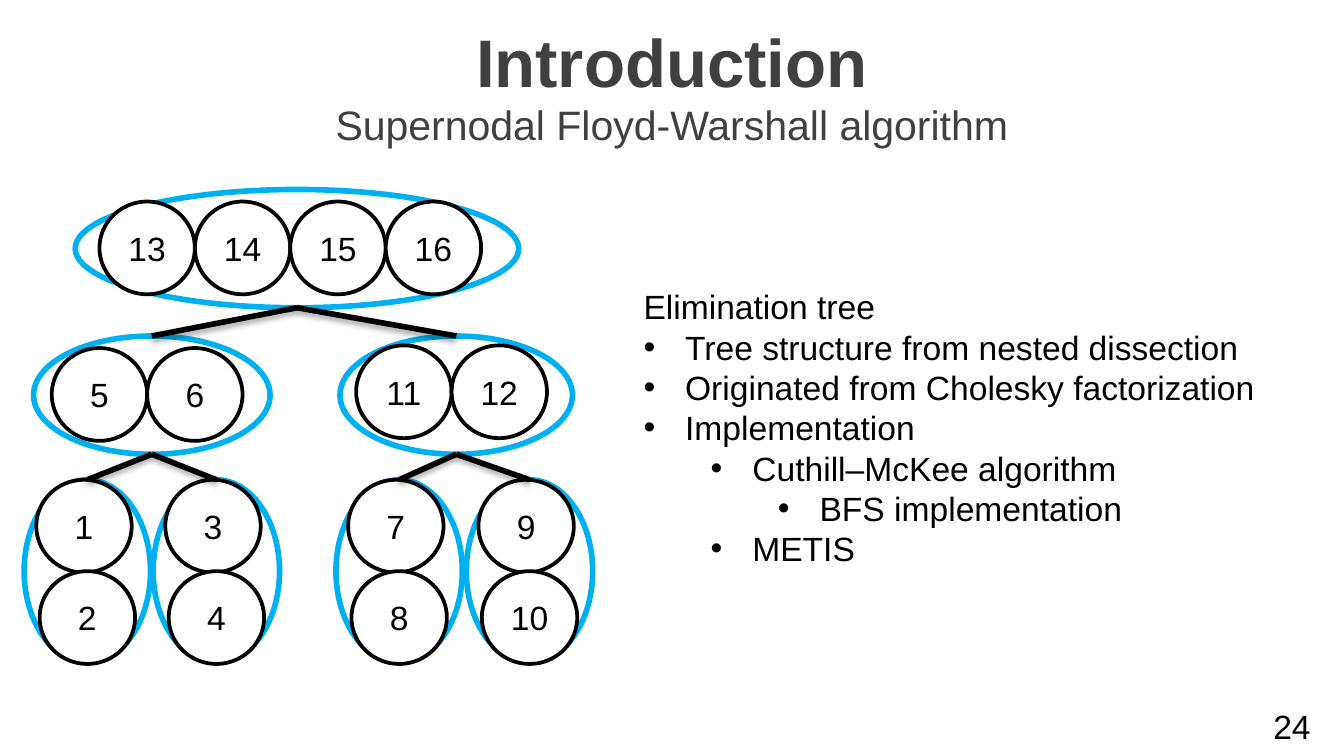
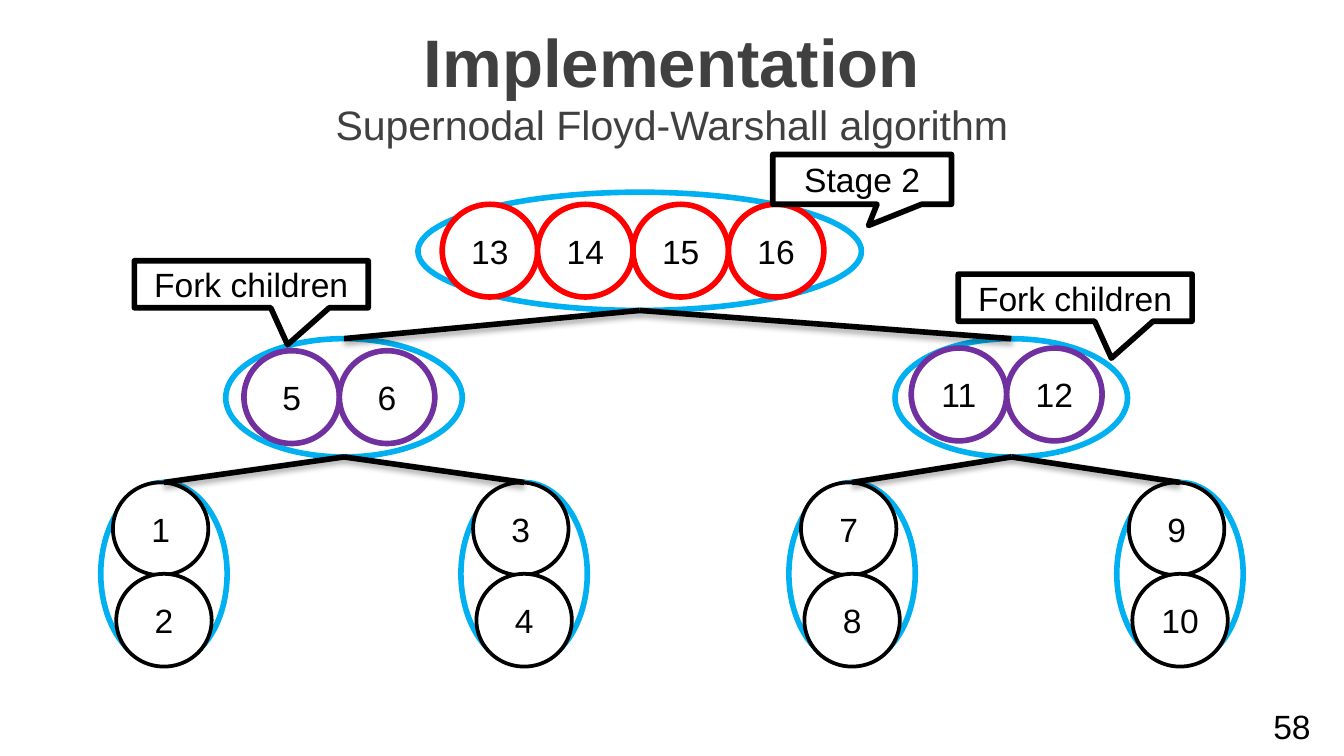
from dataclasses import dataclass

from lxml import etree
from pptx import Presentation
from pptx.dml.color import RGBColor
from pptx.enum.shapes import MSO_CONNECTOR, MSO_SHAPE
from pptx.enum.text import MSO_ANCHOR, PP_ALIGN
from pptx.oxml.ns import qn
from pptx.util import Inches, Pt

STRAIGHT = MSO_CONNECTOR.STRAIGHT
OVAL, CALLOUT = MSO_SHAPE.OVAL, MSO_SHAPE.RECTANGULAR_CALLOUT
TOP, MIDDLE = MSO_ANCHOR.TOP, MSO_ANCHOR.MIDDLE
LEFT, CENTER, RIGHT = PP_ALIGN.LEFT, PP_ALIGN.CENTER, PP_ALIGN.RIGHT

BLACK = RGBColor(0x00, 0x00, 0x00)
WHITE = RGBColor(0xFF, 0xFF, 0xFF)
GRAY = RGBColor(0x40, 0x40, 0x40)
BLUE = RGBColor(0x00, 0xB0, 0xF0)
RED = RGBColor(0xFF, 0x00, 0x00)
PURPLE = RGBColor(0x70, 0x30, 0xA0)

FONT = "Arial"
BODY = {"name": FONT, "size": Pt(18), "bold": False}
TITLE = {"name": FONT, "size": Pt(36), "bold": True}
SUBTITLE = {"name": FONT, "size": Pt(22), "bold": False}

# Grid: 100 columns across the slide, rows of the same size
SLIDE_W, SLIDE_H = Inches(10), Inches(5.625)
CELL = SLIDE_W / 100
NODE_W, NODE_H = 7.1, 6.9
INDENT_STEP, HANG = 5, 3.1


@dataclass(frozen=True)
class Supernode:
    labels: tuple[int, ...]
    level: int
    size: tuple[float, float]
    offset: tuple[float, float]  # first node inside the ring
    step: tuple[float, float]  # from one node to the next
    parent: int | None


@dataclass(frozen=True)
class Outline:
    color: RGBColor
    width: float


@dataclass(frozen=True)
class Callout:
    text: str
    box: tuple[float, float, float, float]
    tip: tuple[float, float]


LEVEL_DROP = (0, 10.9, 21.6)
ACROSS, DOWN = (7.1, 0), (0.25, 6.8)
LEAF_SIZE, LEAF_OFFSET = (9.4, 13.6), (0.9, 0)
TREE = (
    Supernode((13, 14, 15, 16), 0, (33, 8.8), (1.8, 0.9), ACROSS, None),
    Supernode((5, 6), 1, (17.6, 8.8), (1.35, 0.9), ACROSS, 0),
    Supernode((11, 12), 1, (17.3, 8.8), (1.2, 0.7), ACROSS, 0),
    *(Supernode(pair, 2, LEAF_SIZE, LEAF_OFFSET, DOWN, parent)
      for pair, parent in (((1, 2), 1), ((3, 4), 1), ((7, 8), 2), ((9, 10), 2))),
)

THIN_BLACK, THICK_BLACK = Outline(BLACK, 2), Outline(BLACK, 3)
RING = Outline(BLUE, 3)

OUTLINE_TEXT = (
    ("Elimination tree", None),
    ("Tree structure from nested dissection", 0),
    ("Originated from Cholesky factorization", 0),
    ("Implementation", 0),
    ("Cuthill–McKee algorithm", 1),
    ("BFS implementation", 2),
    ("METIS", 1),
)

FORK_TIP = (0.155, 1.286)
CALLOUTS = (
    Callout("Stage 2", (57.5, 11.5, 13.3, 3.7), (0.036, 0.928)),
    Callout("Fork children", (10, 19.4, 17.4, 3.5), FORK_TIP),
    Callout("Fork children", (71.3, 20.4, 17.4, 3.5), FORK_TIP),
)


def grid(*cells: float) -> list[int]:
    return [round(c * CELL) for c in cells]


def set_all(obj, values: dict) -> None:
    for name, value in values.items():
        setattr(obj, name, value)


def write(p, text: str, font: dict, color: RGBColor, align) -> None:
    p.alignment = align
    r = p.add_run()
    r.text = text
    set_all(r.font, font)
    r.font.color.rgb = color


def frame(sp, wrap: bool, inset: float, anchor):
    tf = sp.text_frame
    margin = grid(inset)[0]
    set_all(tf, {"word_wrap": wrap, "vertical_anchor": anchor,
                 "margin_left": margin, "margin_right": margin,
                 "margin_top": margin // 2, "margin_bottom": margin // 2})
    return tf


def add_label(s, box, text: str, font=BODY, color=BLACK, align=CENTER, inset=0.0) -> None:
    sp = s.shapes.add_textbox(*grid(*box))
    write(frame(sp, True, inset, MIDDLE).paragraphs[0], text, font, color, align)


def add_outlined(s, kind, box, outline: Outline, text: str | None = None):
    sp = s.shapes.add_shape(kind, *grid(*box))
    sp.shadow.inherit = False
    sp.line.color.rgb = outline.color
    sp.line.width = Pt(outline.width)
    if text is None:
        sp.fill.background()
    else:
        sp.fill.solid()
        sp.fill.fore_color.rgb = WHITE
        write(frame(sp, False, 0, MIDDLE).paragraphs[0], text, BODY, BLACK, CENTER)
    return sp


def add_edge(s, child, parent) -> None:
    end = parent.left + parent.width // 2, parent.top + parent.height
    cx = s.shapes.add_connector(STRAIGHT, child.left, child.top, *end)
    cx.begin_connect(child, 0)
    cx.line.color.rgb = BLACK
    cx.line.width = Pt(3)
    # Soft shadow straight below the line
    effects = etree.SubElement(cx._element.spPr, qn("a:effectLst"))
    shadow = etree.SubElement(effects, qn("a:outerShdw"), blurRad="40000",
                              dist="23000", dir="5400000", rotWithShape="0")
    color = etree.SubElement(shadow, qn("a:srgbClr"), val=str(BLACK))
    etree.SubElement(color, qn("a:alpha"), val="35000")


def add_tree(s, lefts: tuple[float, ...], top: float, outlines: tuple[Outline, ...]) -> None:
    corners = [(left, top + LEVEL_DROP[n.level]) for n, left in zip(TREE, lefts)]
    rings = [add_outlined(s, OVAL, (*corner, *n.size), RING)
             for n, corner in zip(TREE, corners)]
    for n, (x, y) in zip(TREE, corners):
        for i, label in enumerate(n.labels):
            box = (x + n.offset[0] + i * n.step[0], y + n.offset[1] + i * n.step[1],
                   NODE_W, NODE_H)
            add_outlined(s, OVAL, box, outlines[n.level], str(label))
    for n, ring in zip(TREE, rings):
        if n.parent is not None:
            add_edge(s, ring, rings[n.parent])


def add_outline_text(s) -> None:
    sp = s.shapes.add_textbox(*grid(46.9, 20.8, 52.6, 22.2))
    tf = frame(sp, True, 1, TOP)
    for i, (text, level) in enumerate(OUTLINE_TEXT):
        p = tf.add_paragraph() if i else tf.paragraphs[0]
        if level is not None:
            p.level = level
            margin, hang = grid(HANG + level * INDENT_STEP, HANG)
            pPr = p._p.get_or_add_pPr()
            pPr.set("marL", str(margin))
            pPr.set("indent", str(-hang))
            etree.SubElement(pPr, qn("a:buFont"), typeface=FONT)
            etree.SubElement(pPr, qn("a:buChar"), char="•")
        write(p, text, BODY, BLACK, LEFT)


def add_slide(prs, title: str, number: int):
    s = prs.slides.add_slide(prs.slide_layouts[6])
    add_label(s, (0, 1.4, 100, 6.3), title, TITLE, GRAY)
    add_label(s, (0, 7.7, 100, 3.1), "Supernodal Floyd-Warshall algorithm", SUBTITLE, GRAY)
    add_label(s, (76, 52.5, 22.5, 3), str(number), align=RIGHT, inset=1)
    return s


def main() -> None:
    prs = Presentation()
    set_all(prs, {"slide_width": SLIDE_W, "slide_height": SLIDE_H})

    # Elimination tree beside its description
    s = add_slide(prs, "Introduction", 24)
    add_tree(s, (5.6, 2.5, 25.3, 1.8, 11.4, 25, 34.7), 14.1, (THIN_BLACK,) * 3)
    add_outline_text(s)

    # Wide tree with the fork stages called out
    s = add_slide(prs, "Implementation", 58)
    add_tree(s, (31.1, 16.8, 66.6, 7.5, 34.3, 58.7, 83.1), 14.3,
             (Outline(RED, 3), Outline(PURPLE, 3), THIN_BLACK))
    for c in CALLOUTS:
        sp = add_outlined(s, CALLOUT, c.box, THICK_BLACK, c.text)
        for i, value in enumerate(c.tip):
            sp.adjustments[i] = value

    prs.save("out.pptx")


if __name__ == "__main__":
    main()
